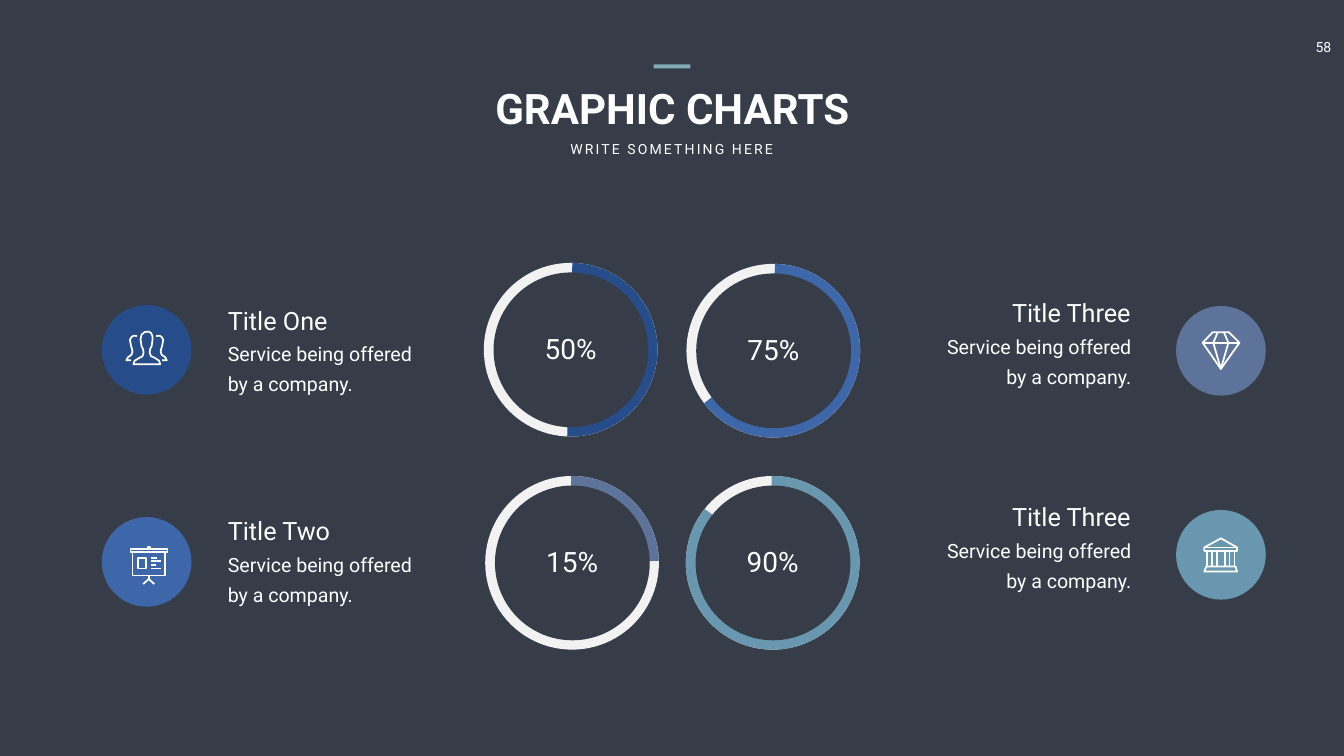
from pptx import Presentation
from pptx import util as u
from pptx.dml.color import RGBColor
from pptx.enum import shapes, text

Cm, Pt = u.Cm, u.Pt
LEFT, CENTER, RIGHT = text.PP_ALIGN.LEFT, text.PP_ALIGN.CENTER, text.PP_ALIGN.RIGHT

BACKGROUND = RGBColor(0x36, 0x3D, 0x48)
WHITE = RGBColor(0xFF, 0xFF, 0xFF)
TRACK = RGBColor(0xF2, 0xF2, 0xF2)
ACCENT = RGBColor(0x84, 0xAC, 0xB6)
NAVY = RGBColor(0x26, 0x4D, 0x89)
BLUE = RGBColor(0x3E, 0x67, 0xAA)
SLATE = RGBColor(0x5D, 0x73, 0x9A)
TEAL = RGBColor(0x69, 0x97, 0xAF)

FONT = "Roboto"
RING, DISC, BADGE = 7.87, 7.8, 4.52
ICON_UNIT = Cm(2.54) / 100

# Icon strokes are (points, closed) pairs, in hundredths of an inch.
PERSON = [(16, 67), (18, 60), (28, 54), (34, 51), (36, 44), (35, 37), (32, 31),
          (31, 24), (30, 17), (32, 8), (38, 3), (46, 2), (51, 5), (54, 12),
          (54, 18), (53, 24), (52, 31), (49, 37), (48, 44), (51, 51), (58, 54),
          (67, 60), (69, 67)]
COMPANION = [(61, 11), (68, 10), (72, 13), (75, 18), (74, 24), (73, 30), (71, 36),
             (70, 42), (72, 48), (79, 53), (82, 59), (73, 59)]
PEOPLE = [(PERSON, True), (COMPANION, False),
          ([(84 - x, y) for x, y in COMPANION], False)]
BOARD = [
    ([(2, 6), (75, 6), (75, 12), (2, 12)], True),
    ([(6, 12), (71, 12), (71, 58), (6, 58)], True),
    ([(36, 6), (36, 2), (40, 2), (40, 6)], False),
    ([(38, 58), (38, 66)], False),
    ([(27, 75), (38, 65), (49, 75)], False),
    ([(16, 23), (33, 23), (33, 44), (16, 44)], True),
] + [([(43, y), (end, y)], False) for y, end in ((23, 55), (30, 62), (37, 52), (44, 62))]
DIAMOND = [
    ([(2, 23), (22, 2), (54, 2), (75, 23), (38, 75)], True),
    ([(2, 23), (75, 23)], False),
    ([(32, 2), (23, 23), (38, 75), (53, 23), (44, 2)], False),
]
BANK = [
    ([(2, 20), (35, 2), (67, 20), (67, 27), (2, 27)], True),
    ([(2, 20), (67, 20)], False),
    ([(6, 58), (64, 58), (67, 68), (2, 68)], True),
] + [([(x, 27), (x, 58)], False) for x in (8, 18, 27, 43, 52, 62)]


def style_text(frame, words, size, align=LEFT, bold=False):
    frame.text = words
    paragraph = frame.paragraphs[0]
    paragraph.alignment = align
    font = paragraph.runs[0].font
    font.name, font.size, font.bold = FONT, Pt(size), bold
    font.color.rgb = WHITE
    return paragraph


def add_label(slide, words, left, top, width, height, size, align=LEFT):
    frame = slide.shapes.add_textbox(Cm(left), Cm(top), Cm(width), Cm(height)).text_frame
    frame.word_wrap = True
    frame.auto_size = text.MSO_AUTO_SIZE.SHAPE_TO_FIT_TEXT
    return frame, style_text(frame, words, size, align)


def add_preset(slide, preset, left, top, width, height, fill=None, line=None):
    shape = slide.shapes.add_shape(preset, Cm(left), Cm(top), Cm(width), Cm(height))
    shape.shadow.inherit = False
    if fill is None:
        shape.fill.background()
    else:
        shape.fill.solid()
        shape.fill.fore_color.rgb = fill
    if line is None:
        shape.line.fill.background()
    else:
        shape.line.color.rgb = line
        shape.line.width = Pt(25)
    return shape


def add_heading(slide):
    title = slide.shapes.title
    title.left, title.top, title.width, title.height = Cm(20.78), Cm(4.04), Cm(26.19), Cm(2.82)
    title.text_frame.auto_size = text.MSO_AUTO_SIZE.NONE
    title.text_frame.vertical_anchor = text.MSO_ANCHOR.TOP
    style_text(title.text_frame, "GRAPHIC CHARTS", 60, CENTER, bold=True)
    _, subtitle = add_label(slide, "WRITE SOMETHING HERE", 28.32, 6.98, 11.05, 1.12, 20, CENTER)
    subtitle.runs[0].font._element.set("spc", "300")
    add_preset(slide, shapes.MSO_SHAPE.RECTANGLE, 32.94, 3.25, 1.85, 0.2, fill=ACCENT)


def add_progress_ring(slide, left, top, start, end, color, percent):
    """Draw a ring whose coloured arc runs clockwise between two angles in degrees."""
    oval = shapes.MSO_SHAPE.OVAL
    add_preset(slide, oval, left, top, RING, RING, line=TRACK)
    arc = add_preset(slide, shapes.MSO_SHAPE.ARC, left, top, RING, RING, line=color)
    # Arc adjustments count 0.6 per degree.
    arc.adjustments[0], arc.adjustments[1] = start * 0.6, end * 0.6
    add_preset(slide, oval, left + 0.05, top + 0.04, DISC, DISC, fill=BACKGROUND)
    add_label(slide, percent, left + 0.57, top + 2.87, 6.73, 1.96, 40, CENTER)


def add_icon(slide, strokes, left, top):
    builder = None
    for points, closed in strokes:
        if builder is None:
            builder = slide.shapes.build_freeform(*points[0], scale=ICON_UNIT)
        else:
            builder.move_to(*points[0])
        builder.add_line_segments(points[1:], close=closed)
    icon = builder.convert_to_shape(Cm(left), Cm(top))
    icon.shadow.inherit = False
    icon.fill.background()
    icon.line.color.rgb = WHITE
    icon.line.width = Pt(2.5)


def add_service(slide, name, badge, color, strokes, icon_at, name_top, align):
    add_preset(slide, shapes.MSO_SHAPE.OVAL, *badge, BADGE, BADGE, fill=color)
    add_icon(slide, strokes, *icon_at)
    name_left, detail_left, detail_width = (
        (11.23, 10.87, 11.2) if align == LEFT else (46.81, 46.81, 10.8))
    frame, detail = add_label(slide, "Service being offered by a company.", detail_left,
                              name_top + 1.37, detail_width, 3.53, 28, align)
    frame.margin_left = frame.margin_right = Cm(0.61)
    frame.margin_top = frame.margin_bottom = Cm(0.3)
    detail.line_spacing = Pt(43)
    add_label(slide, name, name_left, name_top, 10.41, 1.8, 36, align)


def main():
    deck = Presentation()
    deck.slide_width, deck.slide_height = Cm(67.72), Cm(38.1)
    slide = deck.slides.add_slide(deck.slide_layouts[5])
    slide.background.fill.solid()
    slide.background.fill.fore_color.rgb = BACKGROUND

    add_label(slide, "58", 65.53, 1.83, 2.31, 1.37, 20, CENTER)
    add_heading(slide)

    for ring in (
        (24.82, 13.69, 271, 92.4, NAVY, "50%"),
        (35.03, 13.74, 271, 142.9, BLUE, "75%"),
        (24.89, 24.43, 269.3, 358.8, SLATE, "15%"),
        (35, 24.43, 269.3, 218.6, TEAL, "90%"),
    ):
        add_progress_ring(slide, *ring)

    for service in (
        ("Title One", (5.13, 15.37), NAVY, PEOPLE, (6.32, 16.66), 15.24, LEFT),
        ("Title Two", (5.13, 26.06), BLUE, BOARD, (6.53, 27.53), 25.86, LEFT),
        ("Title Three", (59.26, 15.42), SLATE, DIAMOND, (60.55, 16.69), 14.86, RIGHT),
        ("Title Three", (59.26, 25.7), TEAL, BANK, (60.63, 27.08), 25.15, RIGHT),
    ):
        add_service(slide, *service)

    deck.save("out.pptx")


if __name__ == "__main__":
    main()
